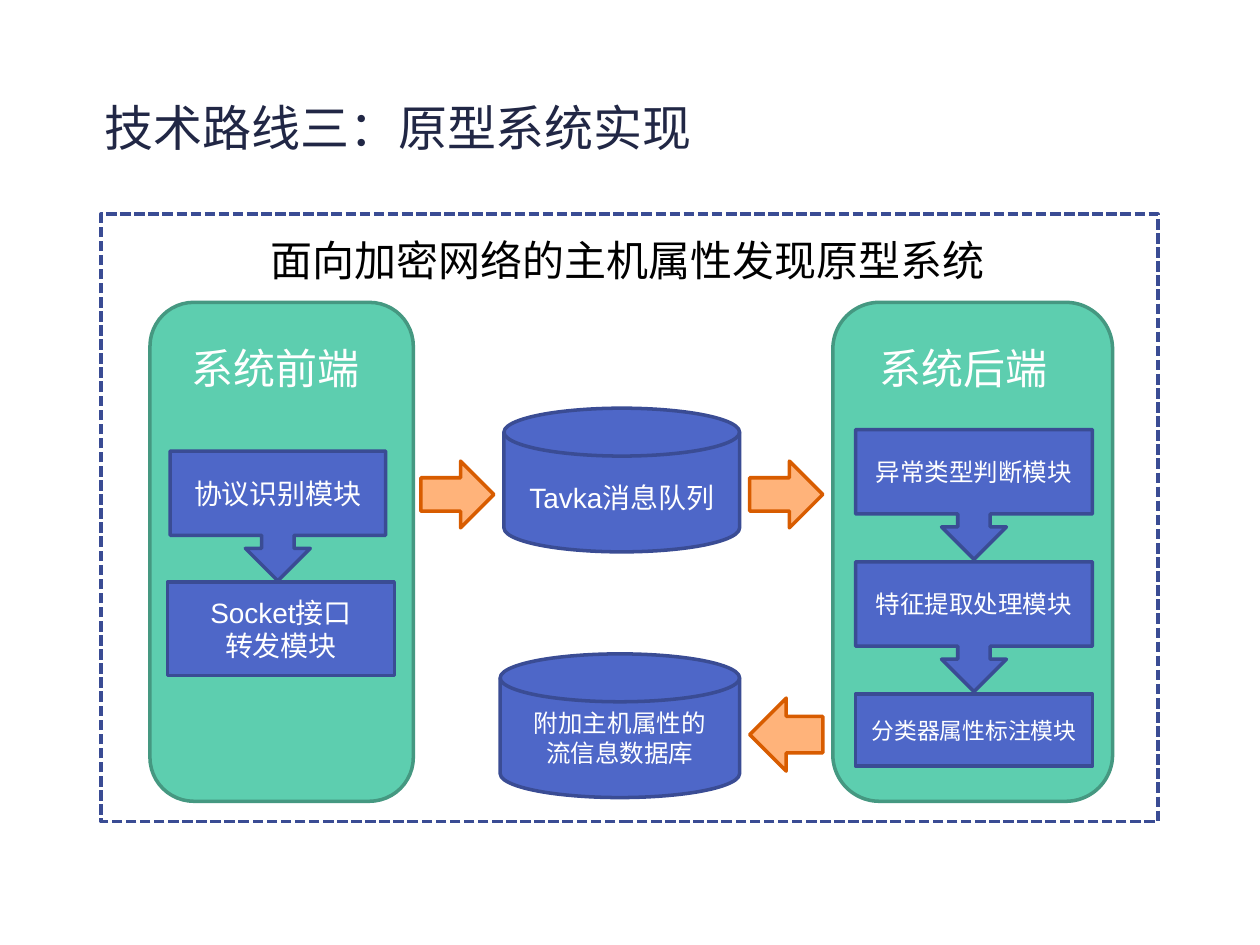
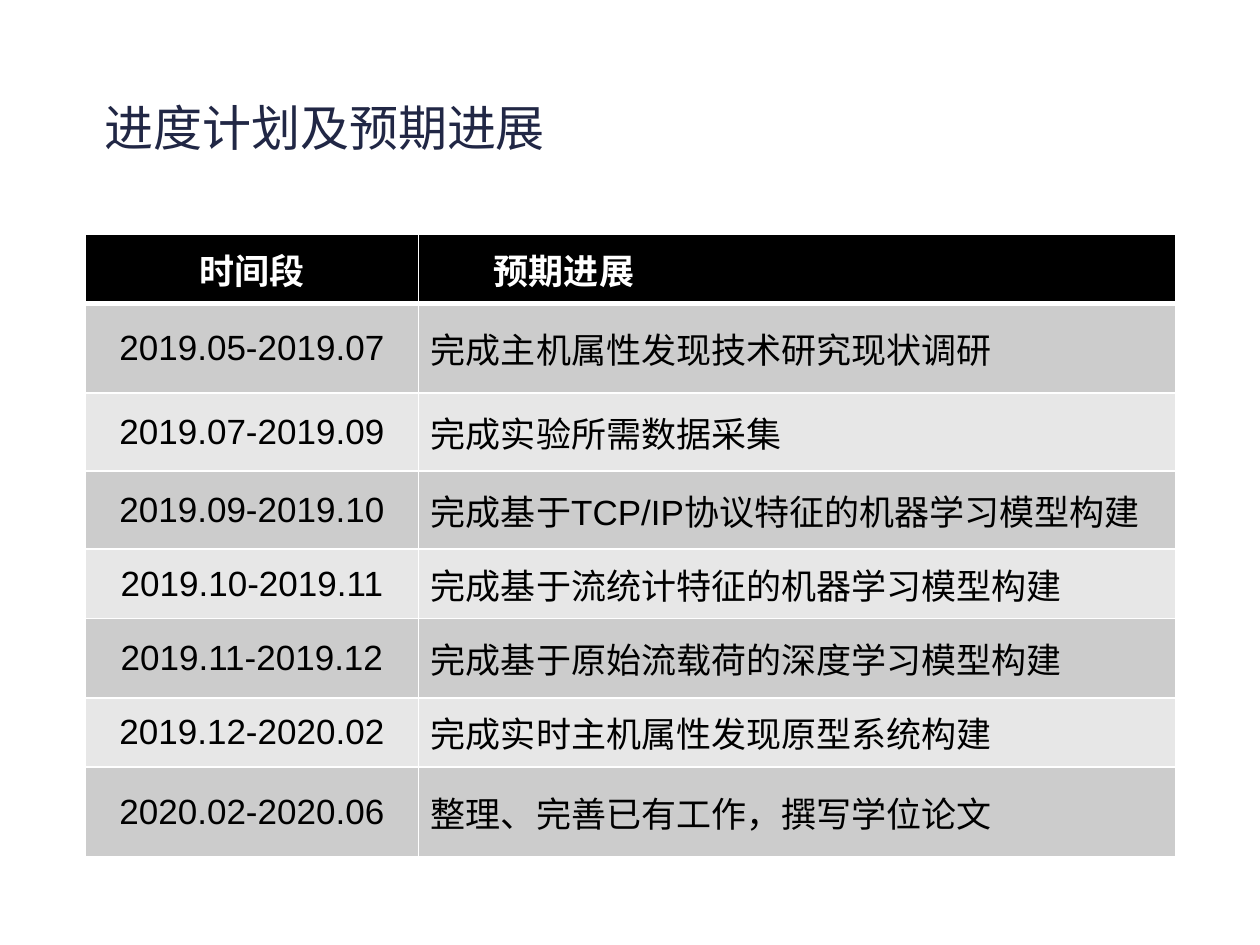
from dataclasses import dataclass

from lxml.etree import SubElement
from pptx import Presentation
from pptx.dml.color import RGBColor
from pptx.enum.dml import MSO_LINE
from pptx.enum.shapes import MSO_SHAPE as Preset
from pptx.enum.text import MSO_ANCHOR as Anchor, MSO_AUTO_SIZE as AutoSize, PP_ALIGN as Align
from pptx.oxml.ns import qn
from pptx.util import Inches, Pt

NAVY = RGBColor(0x21, 0x27, 0x45)
BLUE = RGBColor(0x4E, 0x67, 0xC8)
DARK_BLUE = RGBColor(0x3A, 0x4C, 0x94)
GREEN = RGBColor(0x5D, 0xCE, 0xAF)
DARK_GREEN = RGBColor(0x45, 0x98, 0x81)
PEACH = RGBColor(0xFF, 0xB3, 0x7A)
ORANGE = RGBColor(0xD8, 0x5C, 0x00)
WHITE = RGBColor(0xFF, 0xFF, 0xFF)
BLACK = RGBColor(0, 0, 0)
GRAY = RGBColor(0xCC, 0xCC, 0xCC)
LIGHT_GRAY = RGBColor(0xE7, 0xE7, 0xE7)

LATIN_FONT = "Arial"
CHINESE_FONT = "Noto Sans CJK SC"

SCHEDULE = [
    ("时间段", "预期进展"),
    ("2019.05-2019.07", "完成主机属性发现技术研究现状调研"),
    ("2019.07-2019.09", "完成实验所需数据采集"),
    ("2019.09-2019.10", "完成基于TCP/IP协议特征的机器学习模型构建"),
    ("2019.10-2019.11", "完成基于流统计特征的机器学习模型构建"),
    ("2019.11-2019.12", "完成基于原始流载荷的深度学习模型构建"),
    ("2019.12-2020.02", "完成实时主机属性发现原型系统构建"),
    ("2020.02-2020.06", "整理、完善已有工作，撰写学位论文"),
]
COLUMN_WIDTHS = [2.64, 6.01]
ROW_HEIGHTS = [0.55, 0.71, 0.62, 0.62, 0.55, 0.63, 0.55, 0.71]


@dataclass
class Box:
    """A rectangle in inches."""
    left: float
    top: float
    width: float
    height: float

    def inner(self, left, top, width, height):
        """Return a box whose offset is measured from this one's corner."""
        return Box(self.left + left, self.top + top, width, height)

    def lengths(self):
        return [Inches(value) for value in (self.left, self.top, self.width, self.height)]


TITLE_BOX = Box(0.73, 0.65, 7.81, 0.71)


def write_text(frame, text, size, color=WHITE, font=LATIN_FONT, bold=False,
               align=Align.CENTER, anchor=Anchor.MIDDLE):
    """Fill a text frame, one paragraph for each line of text."""
    frame.word_wrap = True
    frame.vertical_anchor = anchor
    for index, line in enumerate(text.split("\n")):
        paragraph = frame.add_paragraph() if index else frame.paragraphs[0]
        paragraph.alignment = align
        run = paragraph.add_run()
        run.text = line
        run.font.size = Pt(size)
        run.font.bold = bold
        run.font.color.rgb = color
        run.font.name = font
        SubElement(run._r.get_or_add_rPr(), qn("a:ea")).set("typeface", CHINESE_FONT)


def add_block(slide, preset, box, fill=BLUE, outline=DARK_BLUE, text="", size=16):
    shape = slide.shapes.add_shape(preset, *box.lengths())
    shape.shadow.inherit = False
    shape.fill.solid()
    shape.fill.fore_color.rgb = fill
    shape.line.color.rgb = outline
    shape.line.width = Pt(2)
    if text:
        write_text(shape.text_frame, text, size)
    return shape


def add_titled_slide(presentation, title):
    slide = presentation.slides.add_slide(presentation.slide_layouts[5])
    shape = slide.shapes.title
    shape.left, shape.top, shape.width, shape.height = TITLE_BOX.lengths()
    write_text(shape.text_frame, title, 28, color=NAVY, font=CHINESE_FONT, align=Align.LEFT)
    shape.text_frame.auto_size = AutoSize.NONE
    return slide


def add_system_frame(slide, box):
    frame = add_block(slide, Preset.RECTANGLE, box, fill=WHITE)
    frame.line.dash_style = MSO_LINE.SQUARE_DOT
    caption = slide.shapes.add_textbox(*box.inner(1.25, 0.11, 5.98, 0.48).lengths())
    write_text(caption.text_frame, "面向加密网络的主机属性发现原型系统", 24, color=BLACK,
               font=CHINESE_FONT, align=Align.LEFT, anchor=Anchor.TOP)


def add_panel(slide, box, heading, heading_left):
    add_block(slide, Preset.ROUNDED_RECTANGLE, box, GREEN, DARK_GREEN)
    add_block(slide, Preset.ROUNDED_RECTANGLE, box.inner(heading_left, 0.31, 1.9, 0.41),
              GREEN, GREEN, heading, 24)


def add_front_end(slide, box):
    add_panel(slide, box, "系统前端", 0.05)
    add_block(slide, Preset.RECTANGLE, box.inner(0.14, 2.22, 1.8, 0.74),
              text="Socket接口\n转发模块")
    add_block(slide, Preset.DOWN_ARROW_CALLOUT, box.inner(0.16, 1.18, 1.71, 1.03),
              text="协议识别模块")


def add_back_end(slide, box):
    add_panel(slide, box, "系统后端", 0.09)
    steps = [
        ("异常类型判断模块", Preset.DOWN_ARROW_CALLOUT, 1.03, 14),
        ("特征提取处理模块", Preset.DOWN_ARROW_CALLOUT, 1.03, 14),
        ("分类器属性标注模块", Preset.RECTANGLE, 0.57, 13),
    ]
    for index, (text, preset, height, size) in enumerate(steps):
        add_block(slide, preset, box.inner(0.18, 1.01 + 1.05 * index, 1.88, height),
                  text=text, size=size)


def add_data_flow(slide, box):
    """Add the queue, the database and the arrows between the two panels."""
    queue = add_block(slide, Preset.FLOWCHART_MAGNETIC_DISK, box.inner(0.66, 0, 1.87, 1.14),
                      text="Tavka消息队列")
    queue.text_frame.margin_top = Inches(0.13)
    add_block(slide, Preset.FLOWCHART_MAGNETIC_DISK, box.inner(0.63, 1.95, 1.9, 1.14),
              text="附加主机属性的\n流信息数据库", size=14)
    arrows = [
        (Preset.RIGHT_ARROW, 0, 0.42, 0.53),
        (Preset.RIGHT_ARROW, 2.61, 0.42, 0.53),
        (Preset.LEFT_ARROW, 2.61, 2.3, 0.58),
    ]
    for preset, left, top, height in arrows:
        add_block(slide, preset, box.inner(left, top, 0.58, height), PEACH, ORANGE)


def build_system_slide(presentation):
    slide = add_titled_slide(presentation, "技术路线三：原型系统实现")
    frame = Box(0.8, 1.7, 8.39, 4.82)
    add_system_frame(slide, frame)
    add_front_end(slide, frame.inner(0.39, 0.7, 2.09, 3.96))
    add_back_end(slide, frame.inner(5.81, 0.7, 2.22, 3.96))
    add_data_flow(slide, frame.inner(2.54, 1.54, 3.19, 3.09))


def format_cell(cell, fill, top=1, bottom=1):
    """Fill a cell and give it white borders, with top and bottom widths in points."""
    properties = cell._tc.get_or_add_tcPr()
    for side, width in (("L", 1), ("R", 1), ("T", top), ("B", bottom)):
        border = SubElement(properties, qn(f"a:ln{side}"), w=str(Pt(width)))
        color = SubElement(SubElement(border, qn("a:solidFill")), qn("a:srgbClr"))
        color.set("val", str(WHITE))
    cell.fill.solid()
    cell.fill.fore_color.rgb = fill


def add_schedule(slide, box):
    table = slide.shapes.add_table(len(SCHEDULE), len(COLUMN_WIDTHS), *box.lengths()).table
    for column, width in zip(table.columns, COLUMN_WIDTHS):
        column.width = Inches(width)
    for row_index, texts in enumerate(SCHEDULE):
        table.rows[row_index].height = Inches(ROW_HEIGHTS[row_index])
        header = row_index == 0
        fill = BLACK if header else GRAY if row_index % 2 else LIGHT_GRAY
        for column_index, text in enumerate(texts):
            cell = table.cell(row_index, column_index)
            format_cell(cell, fill, top=3 if row_index == 1 else 1, bottom=3 if header else 1)
            write_text(cell.text_frame, text, 20, color=WHITE if header else BLACK, bold=header,
                       align=Align.LEFT if column_index else Align.CENTER)
            cell.vertical_anchor = Anchor.MIDDLE
    heading = table.cell(0, 1).text_frame.paragraphs[0]
    heading._p.get_or_add_pPr().set("marL", str(Inches(0.5)))


def build_schedule_slide(presentation):
    slide = add_titled_slide(presentation, "进度计划及预期进展")
    add_schedule(slide, Box(0.68, 1.86, sum(COLUMN_WIDTHS), sum(ROW_HEIGHTS)))


def main():
    presentation = Presentation()
    presentation.slide_width = Inches(10)
    presentation.slide_height = Inches(7.5)
    build_system_slide(presentation)
    build_schedule_slide(presentation)
    presentation.save("out.pptx")


if __name__ == "__main__":
    main()
